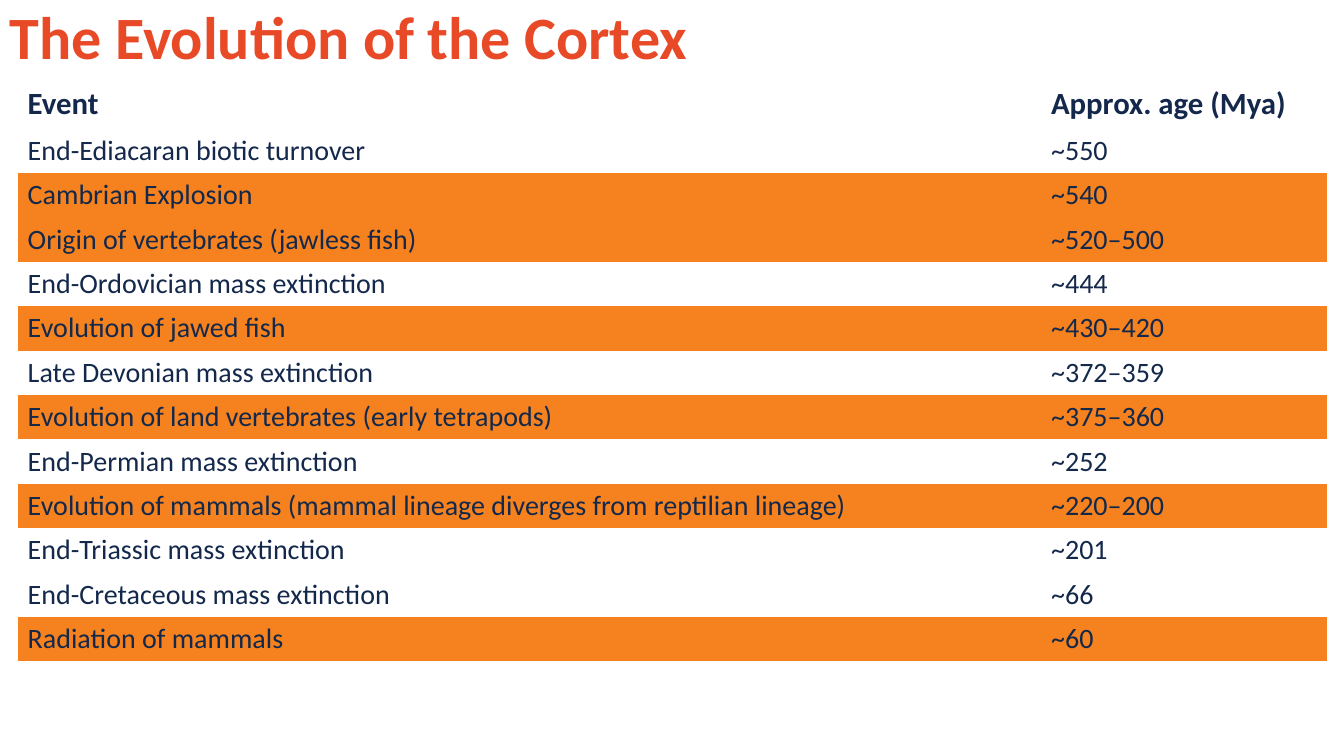
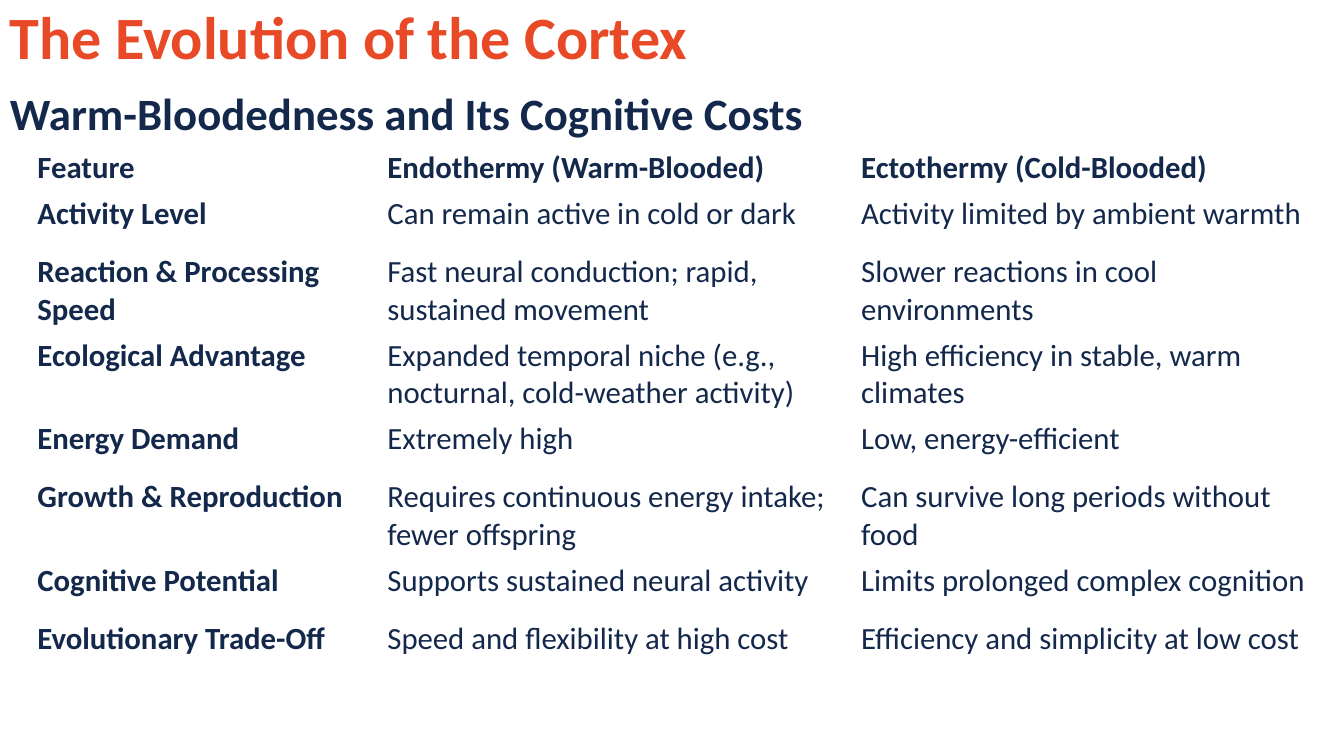
"""Builds two slides of tables on the evolution of the cortex."""
from pptx import Presentation
from pptx.dml.color import RGBColor
from pptx.enum.text import MSO_ANCHOR as Anchor
from pptx.util import Pt

FONT = "Calibri"
NAVY, RED, ORANGE = "13284B", "E84A27", "F5821E"
NO_STYLE_NO_GRID = "{2D5ABB26-0587-4C30-8999-92F81FD0307C}"


def write(holder, text, size, color, bold, anchor=Anchor.MIDDLE):
    """Put one styled paragraph into a text box or a table cell."""
    frame = holder.text_frame
    frame.word_wrap = True
    frame.vertical_anchor = anchor
    paragraph = frame.paragraphs[0]
    paragraph.text = text
    font = paragraph.font
    font.name, font.size, font.bold = FONT, Pt(size), bold
    font.color.rgb = RGBColor.from_string(color)
    return paragraph


def add_grid(slide, left, top, widths, heights):
    """Add an unstyled table with the given column widths and row heights."""
    frame = slide.shapes.add_table(len(heights), len(widths), Pt(left), Pt(top),
                                   Pt(sum(widths)), Pt(sum(heights)))
    table = frame.table
    table.horz_banding = False
    table._tbl.tblPr[0].text = NO_STYLE_NO_GRID
    for column, width in zip(table.columns, widths):
        column.width = Pt(width)
    for row, height in zip(table.rows, heights):
        row.height = Pt(height)
    return table


events = [
    ("Event", "Approx. age (Mya)", False),
    ("End-Ediacaran biotic turnover", "~550", False),
    ("Cambrian Explosion", "~540", True),
    ("Origin of vertebrates (jawless fish)", "~520–500", True),
    ("End-Ordovician mass extinction", "~444", False),
    ("Evolution of jawed fish", "~430–420", True),
    ("Late Devonian mass extinction", "~372–359", False),
    ("Evolution of land vertebrates (early tetrapods)", "~375–360", True),
    ("End-Permian mass extinction", "~252", False),
    ("Evolution of mammals (mammal lineage diverges from reptilian lineage)",
     "~220–200", True),
    ("End-Triassic mass extinction", "~201", False),
    ("End-Cretaceous mass extinction", "~66", False),
    ("Radiation of mammals", "~60", True),
]

features = [
    ("Feature", "Endothermy (Warm-Blooded)", "Ectothermy (Cold-Blooded)"),
    ("Activity Level", "Can remain active in cold or dark",
     "Activity limited by ambient warmth"),
    ("Reaction & Processing Speed",
     "Fast neural conduction; rapid, sustained movement",
     "Slower reactions in cool environments"),
    ("Ecological Advantage",
     "Expanded temporal niche (e.g., nocturnal, cold-weather activity)",
     "High efficiency in stable, warm climates"),
    ("Energy Demand", "Extremely high", "Low, energy-efficient"),
    ("Growth & Reproduction",
     "Requires continuous energy intake; fewer offspring",
     "Can survive long periods without food"),
    ("Cognitive Potential", "Supports sustained neural activity",
     "Limits prolonged complex cognition"),
    ("Evolutionary Trade-Off", "Speed and flexibility at high cost",
     "Efficiency and simplicity at low cost"),
]

deck = Presentation()
deck.slide_width, deck.slide_height = Pt(960), Pt(540)
timeline, comparison = [deck.slides.add_slide(deck.slide_layouts[6]) for _ in range(2)]

for slide in (timeline, comparison):
    title = slide.shapes.add_textbox(0, 0, Pt(904), Pt(57.6))
    write(title, "The Evolution of the Cortex", 42.9, RED, True).line_spacing = 0.9

event_table = add_grid(timeline, 12.6, 57.6, [731, 204], [34.4] + [31.7] * 12)
for r, (event, age, is_milestone) in enumerate(events):
    for c, text in enumerate((event, age)):
        cell = event_table.cell(r, c)
        write(cell, text, 20 if r else 22, NAVY, r == 0)
        if is_milestone:
            cell.fill.solid()
            cell.fill.fore_color.rgb = RGBColor.from_string(ORANGE)
        else:
            cell.fill.background()

one_line, two_lines, edge = 41.8, 59.5, 32.8
feature_table = add_grid(
    comparison, 21, 103.7, [250, 338.4, 330],
    [edge, one_line, two_lines, two_lines, one_line, two_lines, one_line, edge])
for r, feature in enumerate(features):
    for c, text in enumerate(feature):
        cell = feature_table.cell(r, c)
        cell.margin_left = cell.margin_right = Pt(5.76)
        cell.margin_top = cell.margin_bottom = Pt(2.88)
        write(cell, text, 22, NAVY, r == 0 or c == 0)
        cell.fill.background()

subtitle = comparison.shapes.add_textbox(0, Pt(57.6), Pt(783), Pt(46))
write(subtitle, "Warm-Bloodedness and Its Cognitive Costs", 32, NAVY, True, Anchor.TOP)

deck.save("out.pptx")
